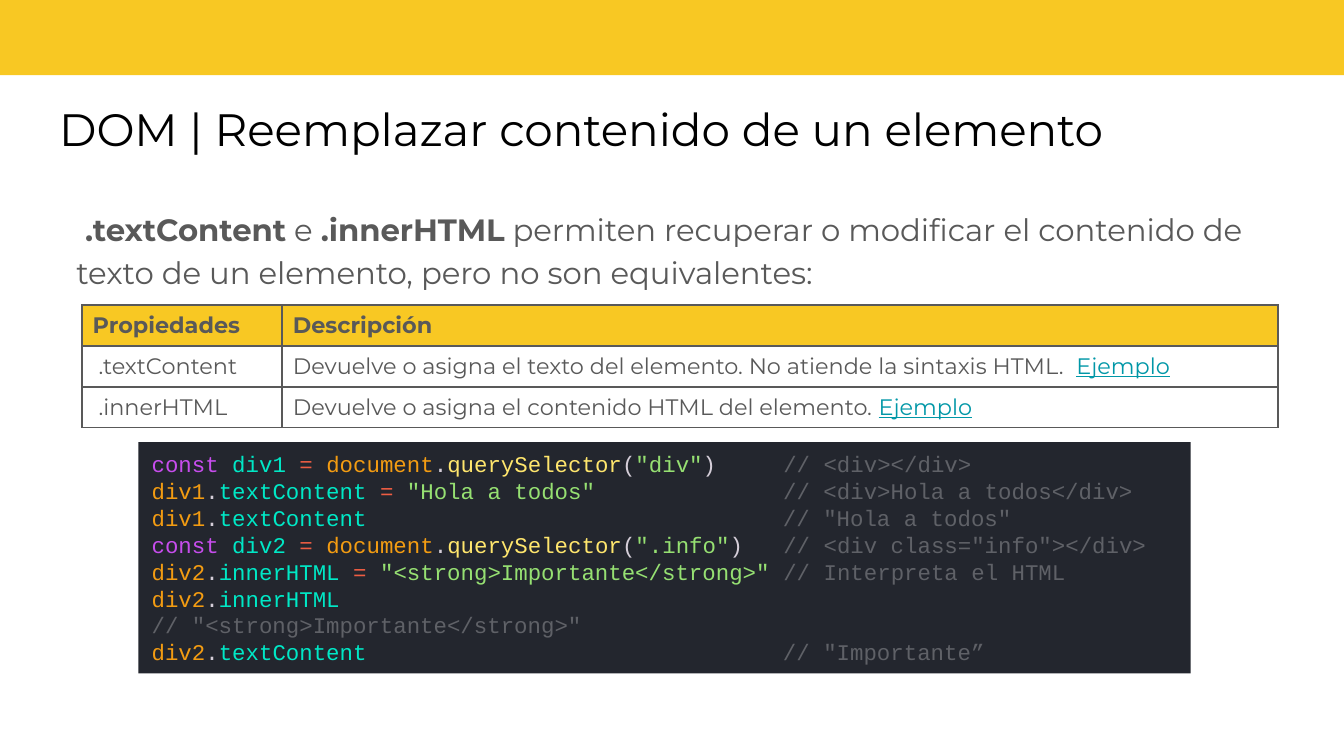
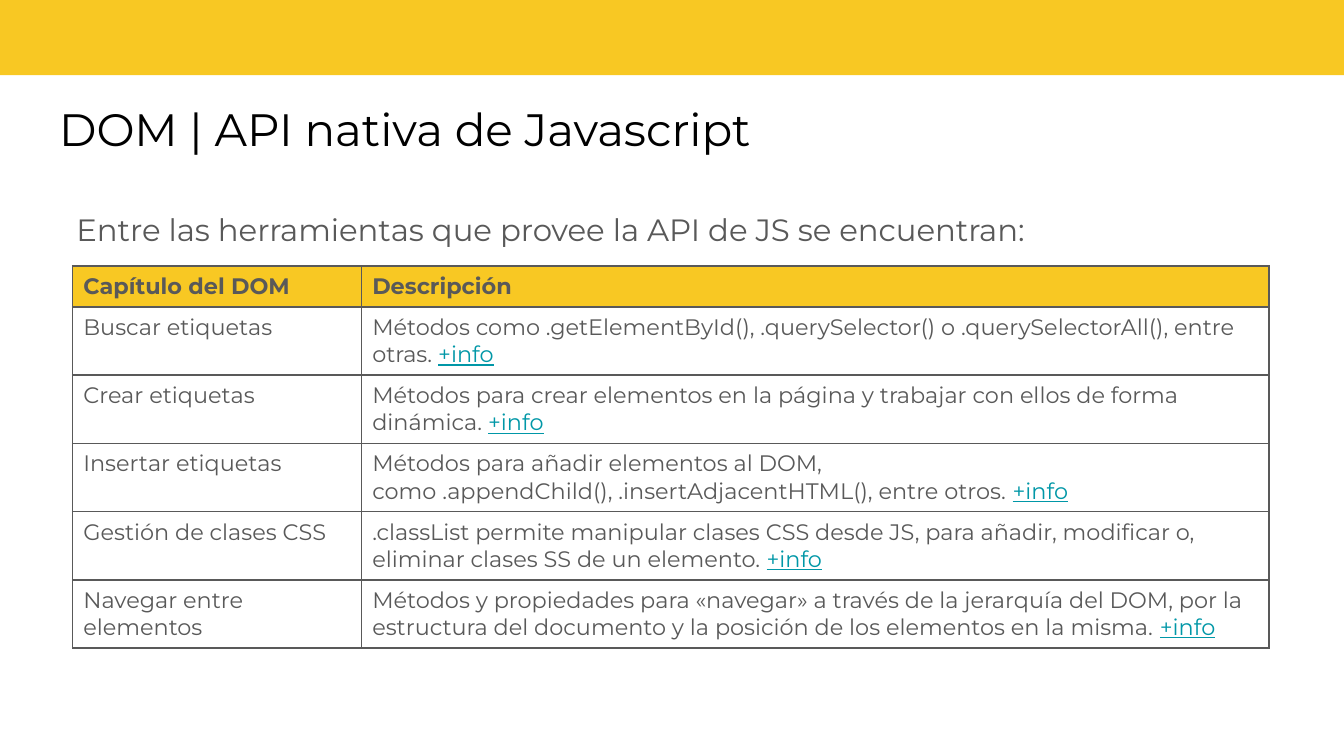
from lxml.etree import SubElement
from pptx import Presentation
from pptx.dml.color import RGBColor
from pptx.enum.shapes import MSO_SHAPE
from pptx.enum.text import MSO_ANCHOR, MSO_AUTO_SIZE, PP_ALIGN
from pptx.oxml.ns import qn
from pptx.util import Inches, Pt

COLORS = {
    "band": "F8C823", "title": "000000", "text": "595959", "link": "0097A7",
    "editor": "23262E", "keyword": "C74DED", "name": "00E8C6",
    "operator": "EE5D43", "object": "F39C12", "mark": "D5CED9",
    "method": "FFE66D", "string": "96E072", "comment": "5F6167",
}
FONT, CODE_FONT = "Montserrat", "Courier New"
COMMENT_COLUMN = 47
ROW_HEIGHT = 0.3

QUERY = [("= ", "operator"), ("document", "object"), (".", "mark"),
         ("querySelector", "method"), ("(", "mark")]
CODE = [
    ([("const ", "keyword"), ("div1 ", "name"), *QUERY, ('"div"', "string"), (")", "mark")],
     "// <div></div>"),
    ([("div1", "object"), (".", "mark"), ("textContent ", "name"), ("= ", "operator"),
      ('"Hola a todos"', "string")], "// <div>Hola a todos</div>"),
    ([("div1", "object"), (".", "mark"), ("textContent", "name")], '// "Hola a todos"'),
    ([("const ", "keyword"), ("div2 ", "name"), *QUERY, ('".info"', "string"), (")", "mark")],
     '// <div class="info"></div>'),
    ([("div2", "object"), (".", "mark"), ("innerHTML ", "name"), ("= ", "operator"),
      ('"<strong>Importante</strong>"', "string")], "// Interpreta el HTML"),
    ([("div2", "object"), (".", "mark"), ("innerHTML", "name")],
     '\n// "<strong>Importante</strong>"'),
    ([("div2", "object"), (".", "mark"), ("textContent", "name")], '// "Importante”'),
]

PAGES = [
    {
        "title": "DOM | Reemplazar contenido de un elemento",
        "intro": [
            (" .textContent", True), (" e ", False), (".innerHTML", True),
            (" permiten recuperar o modificar el contenido de texto de un elemento, "
             "pero no son equivalentes:", False),
        ],
        "place": (0.61, 2.27), "columns": (1.49, 7.41),
        "header": ("Propiedades", "Descripción"),
        "rows": [
            (" .textContent", "Devuelve o asigna el texto del elemento. "
             "No atiende la sintaxis HTML.  "),
            (" .innerHTML", "Devuelve o asigna el contenido HTML del elemento. "),
        ],
        "link": "Ejemplo", "code": CODE,
    },
    {
        "title": "DOM | API nativa de Javascript",
        "intro": [("Entre las herramientas que provee la API de JS se encuentran:", False)],
        "place": (0.54, 1.98), "columns": (2.15, 6.75),
        "header": ("Capítulo del DOM", "Descripción"),
        "rows": [
            ("Buscar etiquetas", "Métodos como .getElementById(), .querySelector() "
             "o .querySelectorAll(), entre otras. "),
            ("Crear etiquetas", "Métodos para crear elementos en la página y trabajar "
             "con ellos de forma dinámica. "),
            ("Insertar etiquetas", "Métodos para añadir elementos al DOM,\n"
             "como .appendChild(), .insertAdjacentHTML(), entre otros. "),
            ("Gestión de clases CSS", ".classList permite manipular clases CSS desde JS, "
             "para añadir, modificar o, eliminar clases SS de un elemento. "),
            ("Navegar entre elementos", "Métodos y propiedades para «navegar» a través "
             "de la jerarquía del DOM, por la estructura del documento y la posición "
             "de los elementos en la misma. "),
        ],
        "link": "+info", "code": [],
    },
]


def add_span(paragraph, text, size, color="text", bold=False, font=FONT, underline=False):
    """Add a formatted run; a newline in the text becomes a line break."""
    for index, line in enumerate(text.split("\n")):
        if index:
            paragraph.add_line_break()
        if line:
            span = paragraph.add_run()
            span.text = line
            span.font.name = font
            span.font.size = Pt(size)
            span.font.bold = bold
            span.font.underline = underline
            span.font.color.rgb = RGBColor.from_string(COLORS[color])


def add_box(page, left, top, width, height, color):
    box = page.shapes.add_shape(MSO_SHAPE.RECTANGLE, Inches(left), Inches(top),
                                Inches(width), Inches(height))
    box.shadow.inherit = False
    box.fill.solid()
    box.fill.fore_color.rgb = RGBColor.from_string(COLORS[color])
    box.line.fill.background()
    return box


deck = Presentation()
deck.slide_width = Inches(10)
deck.slide_height = Inches(10) * 9 // 16

for content in PAGES:
    page = deck.slides.add_slide(deck.slide_layouts[5])
    add_box(page, -0.01, -0.05, 10.03, 0.61, "band")

    title = page.shapes.title
    title.left, title.top = Inches(0.34), Inches(0.65)
    title.width, title.height = Inches(9.3), Inches(0.63)
    intro = page.shapes.add_textbox(Inches(0.47), Inches(1.43), Inches(9.17), Inches(3.63))
    for box in (title, intro):
        frame = box.text_frame
        frame.word_wrap = True
        frame.auto_size = MSO_AUTO_SIZE.NONE
        frame.vertical_anchor = MSO_ANCHOR.TOP
        frame.margin_left = frame.margin_right = Inches(0.1)
        frame.margin_top = frame.margin_bottom = Inches(0.1)
        frame.paragraphs[0].alignment = PP_ALIGN.LEFT
    add_span(title.text_frame.paragraphs[0], content["title"], 24.3, "title")
    paragraph = intro.text_frame.paragraphs[0]
    paragraph.line_spacing = 1.15
    paragraph.space_after = Pt(12)
    for text, bold in content["intro"]:
        add_span(paragraph, text, 16.5, bold=bold)

    rows = [content["header"], *content["rows"]]
    left, top = content["place"]
    table = page.shapes.add_table(len(rows), 2, Inches(left), Inches(top),
                                  Inches(sum(content["columns"])),
                                  Inches(ROW_HEIGHT * len(rows))).table
    for column, width in zip(table.columns, content["columns"]):
        column.width = Inches(width)
    for row_index, texts in enumerate(rows):
        is_header = row_index == 0
        table.rows[row_index].height = Inches(ROW_HEIGHT)
        for column_index, text in enumerate(texts):
            cell = table.cell(row_index, column_index)
            cell.margin_left = cell.margin_right = Inches(0.08)
            cell.margin_top = cell.margin_bottom = Inches(0.05)
            for side in ("a:lnL", "a:lnR", "a:lnT", "a:lnB"):
                border = SubElement(cell._tc.get_or_add_tcPr(), qn(side), w=str(Pt(0.96)))
                fill = SubElement(border, qn("a:solidFill"))
                SubElement(fill, qn("a:srgbClr"), val=COLORS["text"])
            if is_header:
                cell.fill.solid()
                cell.fill.fore_color.rgb = RGBColor.from_string(COLORS["band"])
            else:
                cell.fill.background()
            paragraph = cell.text_frame.paragraphs[0]
            add_span(paragraph, text, 12, bold=is_header)
            if column_index == 1 and not is_header:
                add_span(paragraph, content["link"], 12, "link", underline=True)

    if content["code"]:
        editor = add_box(page, 1.03, 3.29, 7.83, 1.72, "editor")
        frame = editor.text_frame
        frame.word_wrap = True
        frame.vertical_anchor = MSO_ANCHOR.MIDDLE
        for index, (tokens, comment) in enumerate(content["code"]):
            paragraph = frame.add_paragraph() if index else frame.paragraphs[0]
            paragraph.alignment = PP_ALIGN.LEFT
            for text, color in tokens:
                add_span(paragraph, text, 12, color, font=CODE_FONT)
            if not comment.startswith("\n"):
                used = sum(len(text) for text, color in tokens)
                comment = " " * (COMMENT_COLUMN - used) + comment
            add_span(paragraph, comment, 12, "comment", font=CODE_FONT)

deck.save("out.pptx")
